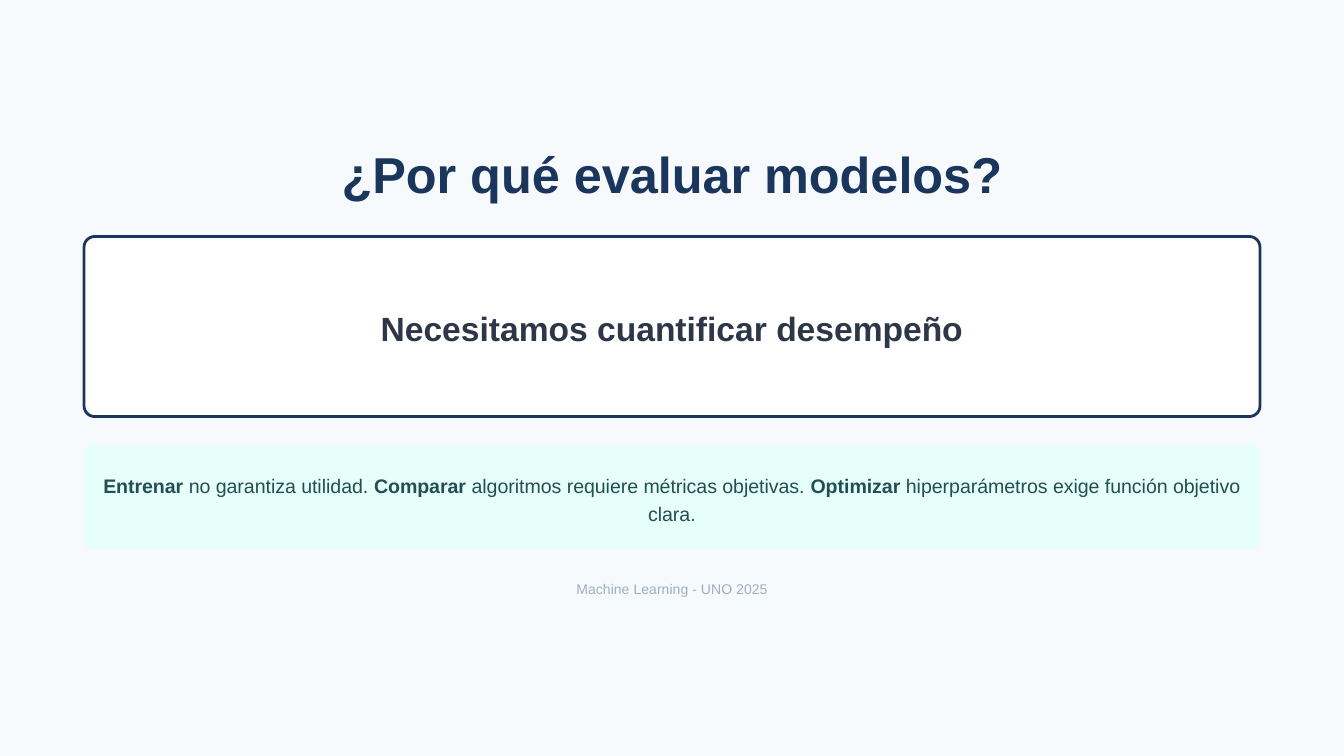
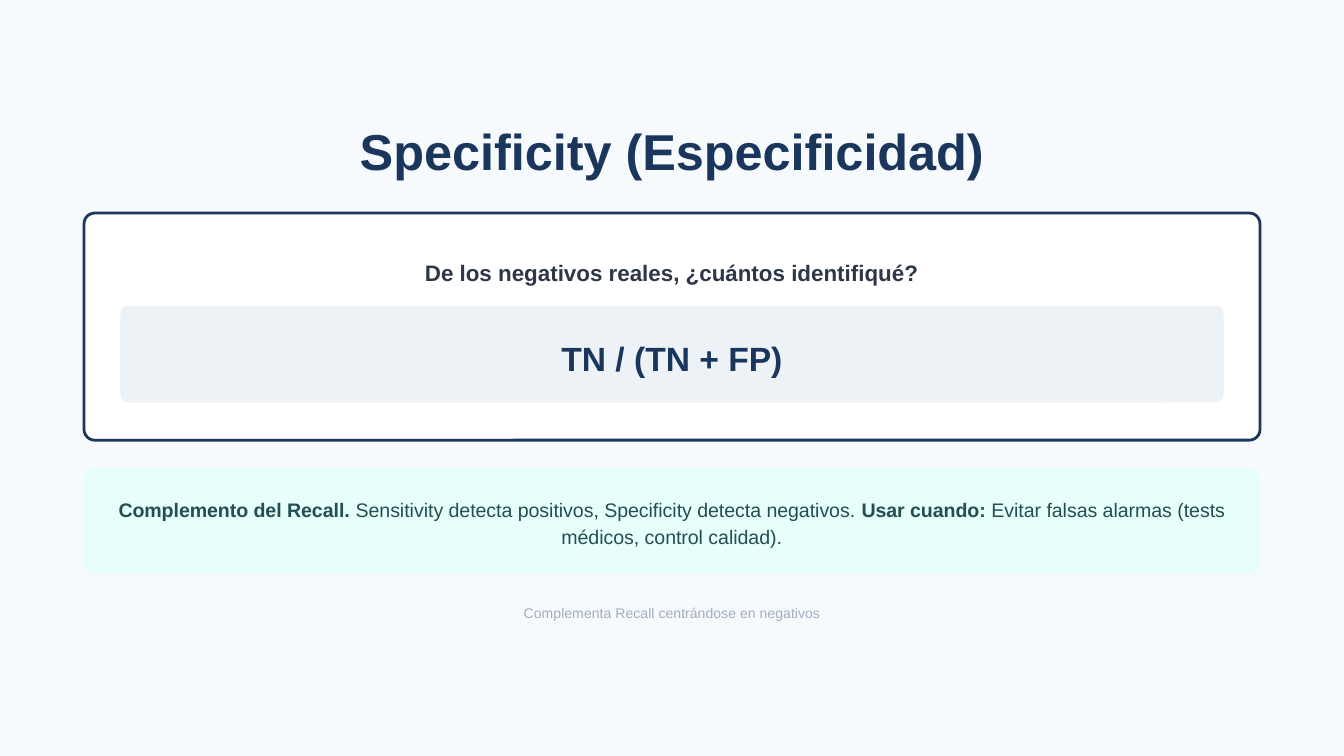
from dataclasses import dataclass

from pptx import Presentation
from pptx.dml.color import RGBColor
from pptx.enum.shapes import MSO_SHAPE
from pptx.enum.text import MSO_ANCHOR, MSO_AUTO_SIZE, PP_ALIGN
from pptx.util import Inches, Pt


@dataclass(frozen=True)
class Theme:
    font: str = "Arial"
    # Colours
    background: str = "F7FAFC"
    navy: str = "1A365D"
    heading: str = "2D3748"
    card: str = "FFFFFF"
    formula: str = "EDF2F7"
    note: str = "E6FFFA"
    note_text: str = "234E52"
    footer: str = "A0AEC0"
    # Type sizes in points
    title_size: float = 27
    large_size: float = 18
    question_size: float = 12
    note_size: float = 10.5
    footer_size: float = 7.5


THEME = Theme()
SLIDE_WIDTH = 10
SLIDE_HEIGHT = 5.625
PANEL_WIDTH = 8.75
CARD_MIDDLE = 2.43
NOTE_HEIGHT = 0.78


def place(shape, top, width, height):
    """Position a shape centred across the slide."""
    shape.left = Inches((SLIDE_WIDTH - width) / 2)
    shape.top = Inches(top)
    shape.width = Inches(width)
    shape.height = Inches(height)


def write_text(shape, parts, size, color, line_height):
    """Fill a shape with one centred paragraph of (text, bold) parts."""
    text_frame = shape.text_frame
    text_frame.word_wrap = True
    text_frame.auto_size = MSO_AUTO_SIZE.NONE
    text_frame.vertical_anchor = MSO_ANCHOR.TOP
    text_frame.margin_left = text_frame.margin_right = 0
    text_frame.margin_top = text_frame.margin_bottom = 0
    paragraph = text_frame.paragraphs[0]
    paragraph.alignment = PP_ALIGN.CENTER
    paragraph.line_spacing = Pt(line_height)
    paragraph.space_before = Pt(0)
    for text, bold in parts:
        run = paragraph.add_run()
        run.text = text
        run.font.name = THEME.font
        run.font.size = Pt(size)
        run.font.bold = bold
        run.font.color.rgb = RGBColor.from_string(color)


def add_text(slide, top, width, height, parts, size, color, line_height):
    shape = slide.shapes.add_textbox(0, 0, 0, 0)
    place(shape, top, width, height)
    write_text(shape, parts, size, color, line_height)


def add_panel(slide, top, width, height, fill, radius, border=None):
    shape = slide.shapes.add_shape(MSO_SHAPE.ROUNDED_RECTANGLE, 0, 0, 0, 0)
    place(shape, top, width, height)
    shape.adjustments[0] = radius / min(width, height)
    shape.shadow.inherit = False
    shape.fill.solid()
    shape.fill.fore_color.rgb = RGBColor.from_string(fill)
    if border:
        shape.line.color.rgb = RGBColor.from_string(border)
        shape.line.width = Pt(1.5)
    else:
        shape.line.fill.background()


def add_formula(slide, top, formula):
    add_panel(slide, top, 8.21, 0.72, THEME.formula, 0.06)
    add_text(slide, top + 0.19, 7.99, 0.35, [(formula, True)],
             THEME.large_size, THEME.navy, 25.2)


def add_note(slide, top, parts):
    add_panel(slide, top, PANEL_WIDTH, NOTE_HEIGHT, THEME.note, 0.06)
    add_text(slide, top + 0.19, 8.54, 0.41, parts,
             THEME.note_size, THEME.note_text, 14.7)


def add_concept_slide(presentation, title, title_width, card_height, heading,
                      heading_offset, heading_size, note, footer, formula=None):
    slide = presentation.slides.add_slide(presentation.slide_layouts[5])
    card_top = CARD_MIDDLE - card_height / 2
    note_top = card_top + card_height + 0.21

    # Title
    place(slide.shapes.title, card_top - 0.62, title_width, 0.38)
    write_text(slide.shapes.title, [(title, True)],
               THEME.title_size, THEME.navy, 27)

    # Main card
    add_panel(slide, card_top, PANEL_WIDTH, card_height,
              THEME.card, 0.08, THEME.navy)
    add_text(slide, card_top + heading_offset, 8.37, 0.23, [(heading, True)],
             heading_size, THEME.heading, 16.8)
    if formula:
        add_formula(slide, card_top + 0.69, formula)

    # Note and footer
    add_note(slide, note_top, note)
    add_text(slide, note_top + NOTE_HEIGHT + 0.21, 8.93, 0.15,
             [(footer, False)], THEME.footer_size, THEME.footer, 10.5)


def main():
    presentation = Presentation()
    presentation.slide_width = Inches(SLIDE_WIDTH)
    presentation.slide_height = Inches(SLIDE_HEIGHT)
    background = presentation.slide_master.background.fill
    background.solid()
    background.fore_color.rgb = RGBColor.from_string(THEME.background)

    add_concept_slide(
        presentation,
        title="¿Por qué evaluar modelos?",
        title_width=5.03,
        card_height=1.34,
        heading="Necesitamos cuantificar desempeño",
        heading_offset=0.6,
        heading_size=THEME.large_size,
        note=[
            ("Entrenar", True),
            (" no garantiza utilidad. ", False),
            ("Comparar", True),
            (" algoritmos requiere métricas objetivas. ", False),
            ("Optimizar", True),
            (" hiperparámetros exige función objetivo clara.", False),
        ],
        footer="Machine Learning - UNO 2025",
    )
    add_concept_slide(
        presentation,
        title="Specificity (Especificidad)",
        title_width=4.75,
        card_height=1.69,
        heading="De los negativos reales, ¿cuántos identifiqué?",
        heading_offset=0.31,
        heading_size=THEME.question_size,
        formula="TN / (TN + FP)",
        note=[
            ("Complemento del Recall.", True),
            (" Sensitivity detecta positivos, Specificity detecta negativos. ", False),
            ("Usar cuando:", True),
            (" Evitar falsas alarmas (tests médicos, control calidad).", False),
        ],
        footer="Complementa Recall centrándose en negativos",
    )
    presentation.save("out.pptx")


if __name__ == "__main__":
    main()
